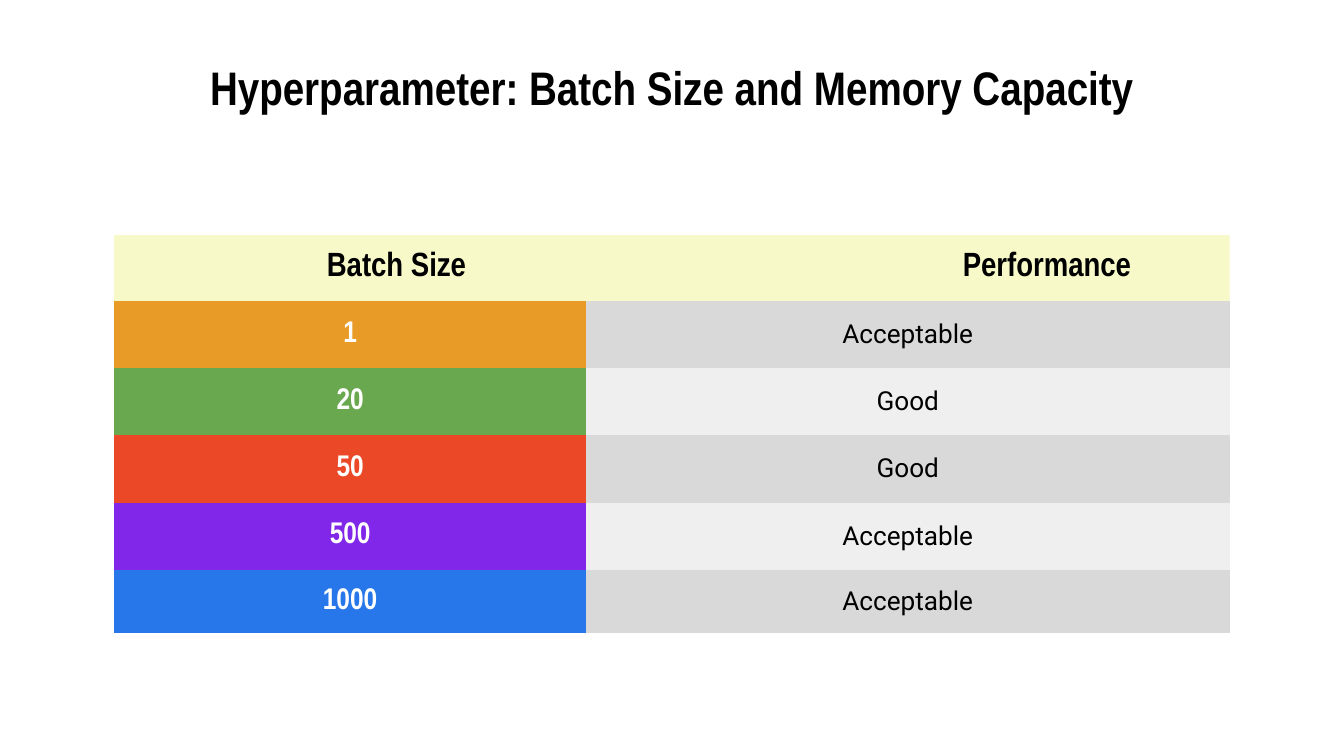
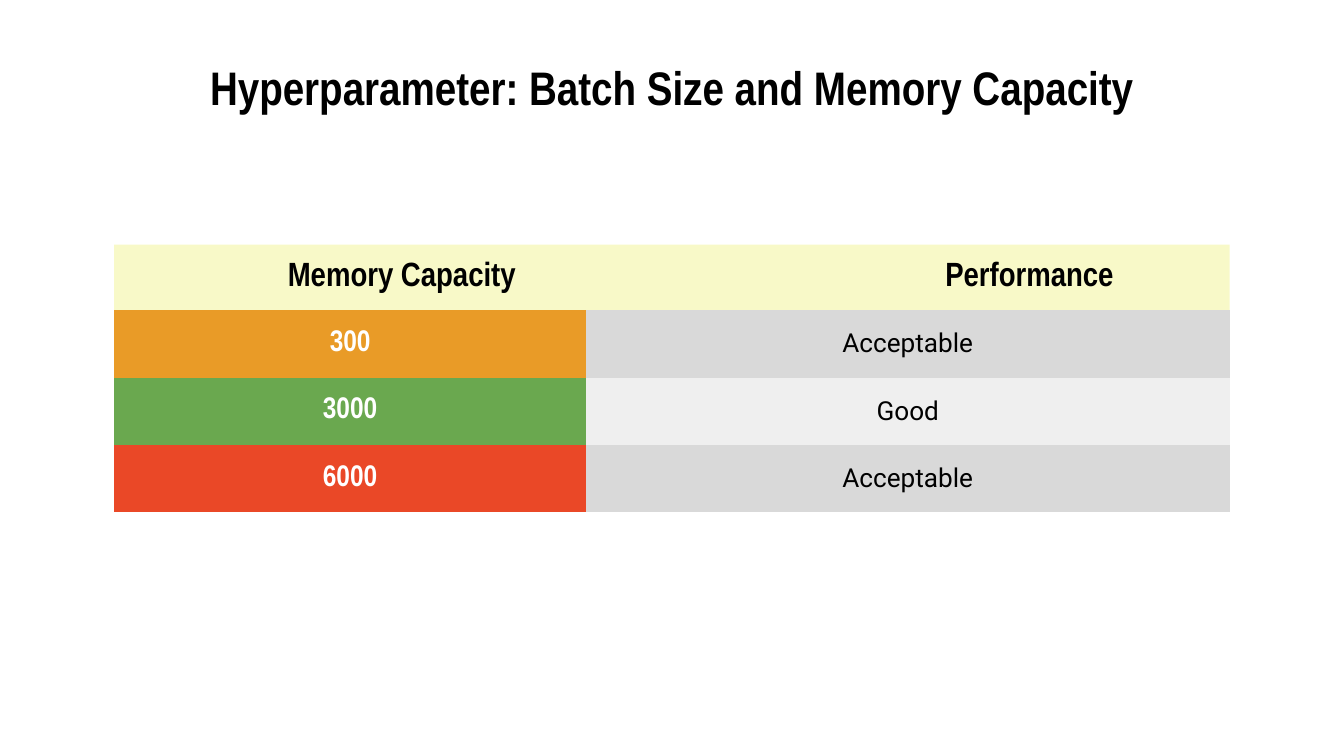
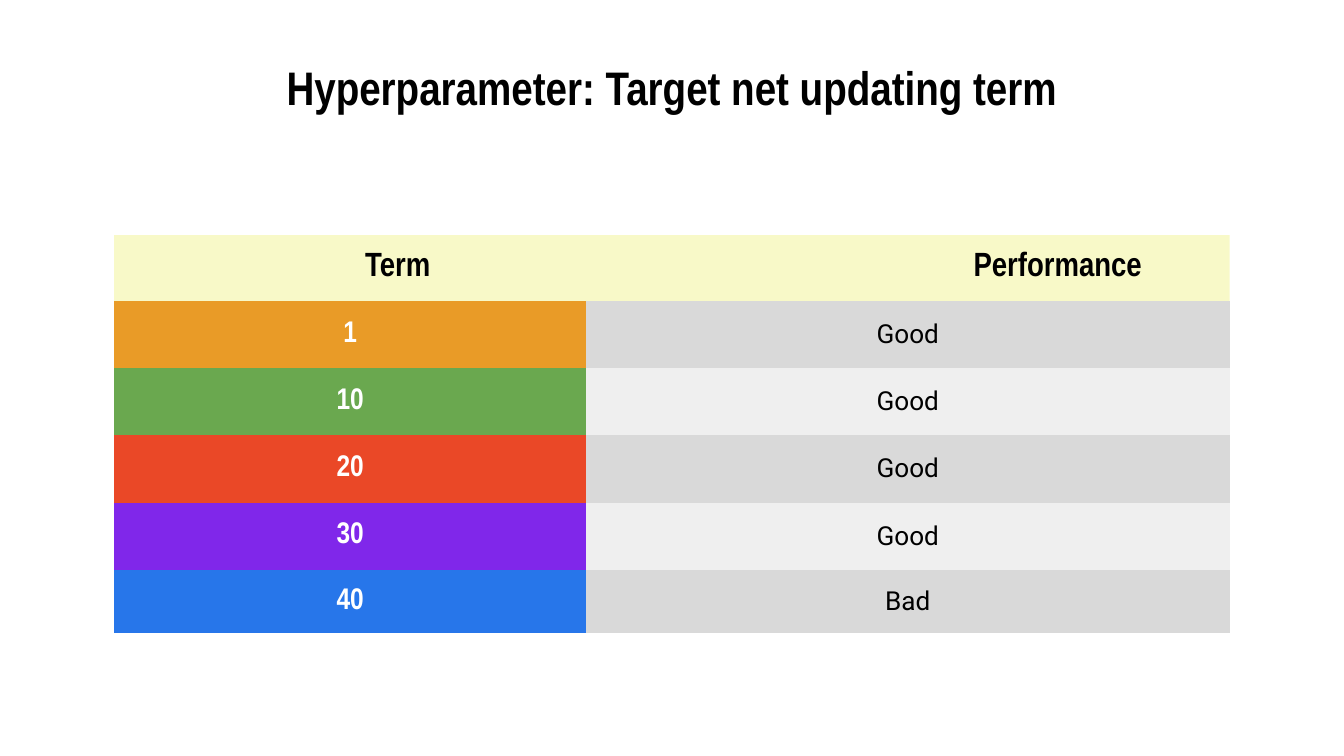
from dataclasses import dataclass

from lxml import etree
from pptx import Presentation
from pptx.dml.color import RGBColor
from pptx.enum.text import MSO_ANCHOR, MSO_AUTO_SIZE, PP_ALIGN
from pptx.oxml.ns import qn
from pptx.util import Inches, Pt

MIDDLE = MSO_ANCHOR.MIDDLE
CENTER = PP_ALIGN.CENTER
LEFT = PP_ALIGN.LEFT
NO_AUTOFIT = MSO_AUTO_SIZE.NONE
TITLE_ONLY = 5
PLAIN_TABLE_STYLE = "{2D5ABB26-0587-4C30-8999-92F81FD0307C}"


@dataclass(frozen=True)
class Theme:
    heading_font: str = "Arial Narrow"
    body_font: str = "Roboto"
    title_size: float = 25.2
    header_size: float = 18
    setting_size: float = 16
    rating_size: float = 14
    text: str = "000000"
    light_text: str = "FFFFFF"
    header_fill: str = "E4EA27"
    header_opacity: int = 25
    setting_fills: tuple = ("E99B27", "6AA84F", "EA4827", "8027EA", "2776EA")
    rating_fills: tuple = ("D9D9D9", "EFEFEF")
    inset: float = 0.1


THEME = Theme()

# Widescreen page, 16:9
PAGE_WIDTH = Inches(10)
PAGE_HEIGHT = PAGE_WIDTH * 9 // 16

# Table geometry in inches
TABLE_LEFT = 0.85
COLUMN_WIDTHS = (3.51, 4.79)
HEADER_HEIGHT = 0.49
ROW_HEIGHT = 0.5
FIFTH_ROW_HEIGHT = 0.47

# Each table: title, top, headings with their centres, and rated settings
BATCH_TITLE = "Hyperparameter: Batch Size and Memory Capacity"
PAGES = (
    (BATCH_TITLE, 1.75, (("Batch Size", 2.0), ("Performance", 6.84)),
     (("1", "Acceptable"), ("20", "Good"), ("50", "Good"),
      ("500", "Acceptable"), ("1000", "Acceptable"))),
    (BATCH_TITLE, 1.82, (("Memory Capacity", 2.04), ("Performance", 6.71)),
     (("300", "Acceptable"), ("3000", "Good"), ("6000", "Acceptable"))),
    ("Hyperparameter: Target net updating term", 1.75,
     (("Term", 2.01), ("Performance", 6.92)),
     (("1", "Good"), ("10", "Good"), ("20", "Good"),
      ("30", "Good"), ("40", "Bad"))),
)


def format_para(para, font_name, size, color, bold, align=CENTER):
    para.alignment = align
    for span in para.runs:
        span.font.name = font_name
        span.font.size = Pt(size)
        span.font.bold = bold
        span.font.color.rgb = RGBColor.from_string(color)


def set_insets(holder):
    holder.margin_left = holder.margin_right = Inches(THEME.inset)
    holder.margin_top = holder.margin_bottom = Inches(THEME.inset)
    holder.vertical_anchor = MIDDLE


def add_title(page, text):
    title = page.shapes.title
    title.left, title.top = Inches(0.5), Inches(0.44)
    title.width, title.height = Inches(9), Inches(0.41)
    frame = title.text_frame
    frame.text = text
    frame.word_wrap = True
    frame.auto_size = NO_AUTOFIT
    set_insets(frame)
    format_para(frame.paragraphs[0], THEME.heading_font, THEME.title_size,
                THEME.text, True)


def fill_cell(cell, color):
    cell.fill.solid()
    cell.fill.fore_color.rgb = RGBColor.from_string(color)
    set_insets(cell)


def fill_header(cell, headings):
    # Translucent band with headings on centred tab stops
    fill_cell(cell, THEME.header_fill)
    color = cell._tc.tcPr.find(".//" + qn("a:srgbClr"))
    etree.SubElement(color, qn("a:alpha"),
                     val=str(THEME.header_opacity * 1000))
    para = cell.text_frame.paragraphs[0]
    para.text = "".join("\t" + label for label, _ in headings)
    stops = etree.SubElement(para._p.get_or_add_pPr(), qn("a:tabLst"))
    for _, center in headings:
        etree.SubElement(stops, qn("a:tab"), pos=str(Inches(center)),
                         algn="ctr")
    format_para(para, THEME.heading_font, THEME.header_size, THEME.text,
                True, LEFT)


def add_rating_table(page, top, headings, ratings):
    heights = [HEADER_HEIGHT] + [ROW_HEIGHT] * len(ratings)
    if len(ratings) == 5:
        heights[-1] = FIFTH_ROW_HEIGHT
    table = page.shapes.add_table(
        len(heights), len(COLUMN_WIDTHS), Inches(TABLE_LEFT), Inches(top),
        Inches(sum(COLUMN_WIDTHS)), Inches(sum(heights))).table
    table.first_row = table.horz_banding = False
    table._tbl.tblPr.find(qn("a:tableStyleId")).text = PLAIN_TABLE_STYLE
    for column, width in zip(table.columns, COLUMN_WIDTHS):
        column.width = Inches(width)
    for row, height in zip(table.rows, heights):
        row.height = Inches(height)

    # Header across both columns
    table.cell(0, 0).merge(table.cell(0, 1))
    fill_header(table.cell(0, 0), headings)

    # Coloured settings beside banded ratings
    for index, (setting, rating) in enumerate(ratings):
        setting_cell = table.cell(index + 1, 0)
        rating_cell = table.cell(index + 1, 1)
        setting_cell.text_frame.text = setting
        rating_cell.text_frame.text = rating
        fill_cell(setting_cell, THEME.setting_fills[index])
        fill_cell(rating_cell, THEME.rating_fills[index % 2])
        format_para(setting_cell.text_frame.paragraphs[0],
                    THEME.heading_font, THEME.setting_size,
                    THEME.light_text, True)
        format_para(rating_cell.text_frame.paragraphs[0],
                    THEME.body_font, THEME.rating_size, THEME.text, False)


def main():
    deck = Presentation()
    deck.slide_width, deck.slide_height = PAGE_WIDTH, PAGE_HEIGHT
    for title, top, headings, ratings in PAGES:
        page = deck.slides.add_slide(deck.slide_layouts[TITLE_ONLY])
        add_title(page, title)
        add_rating_table(page, top, headings, ratings)
    deck.save("out.pptx")


if __name__ == "__main__":
    main()
